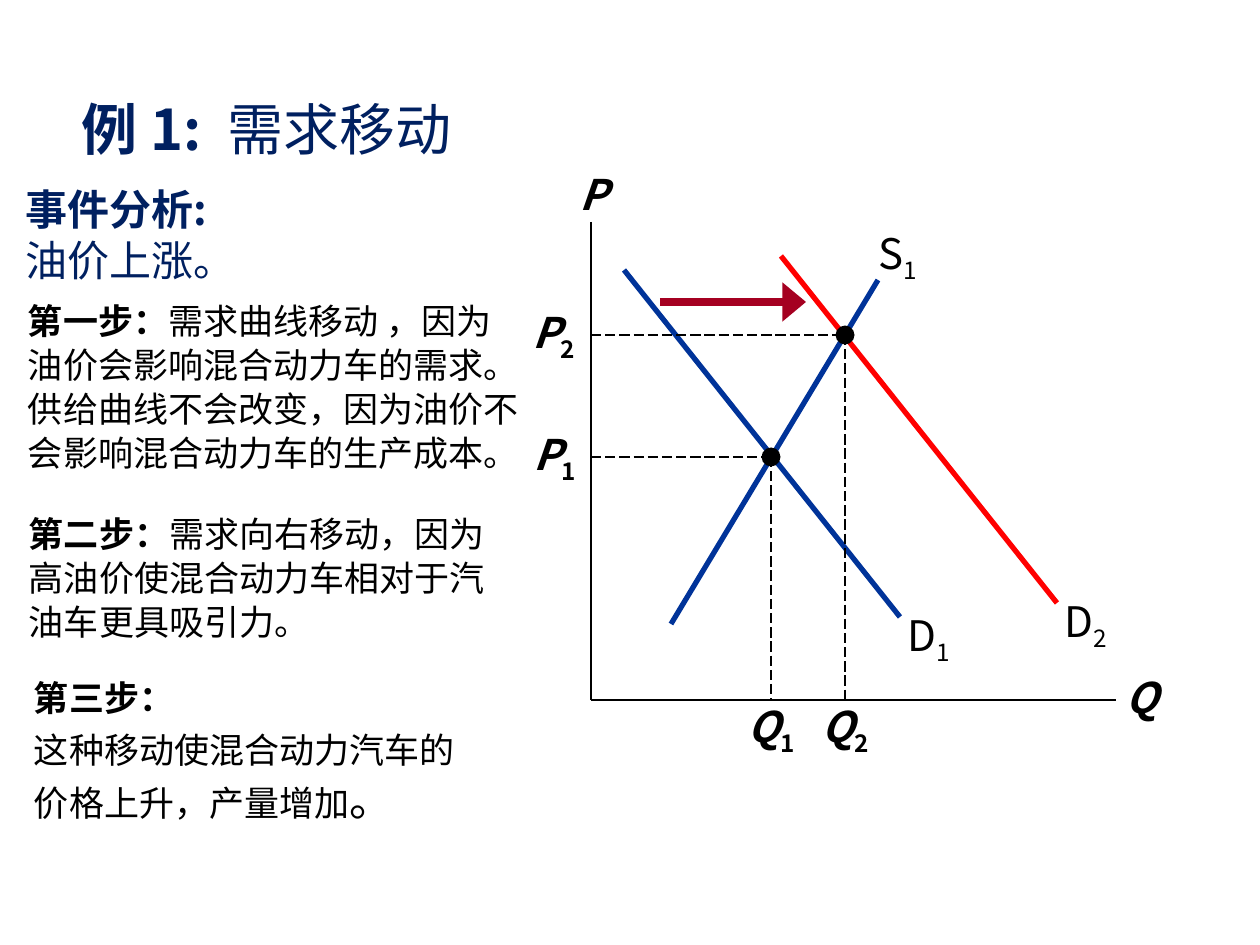
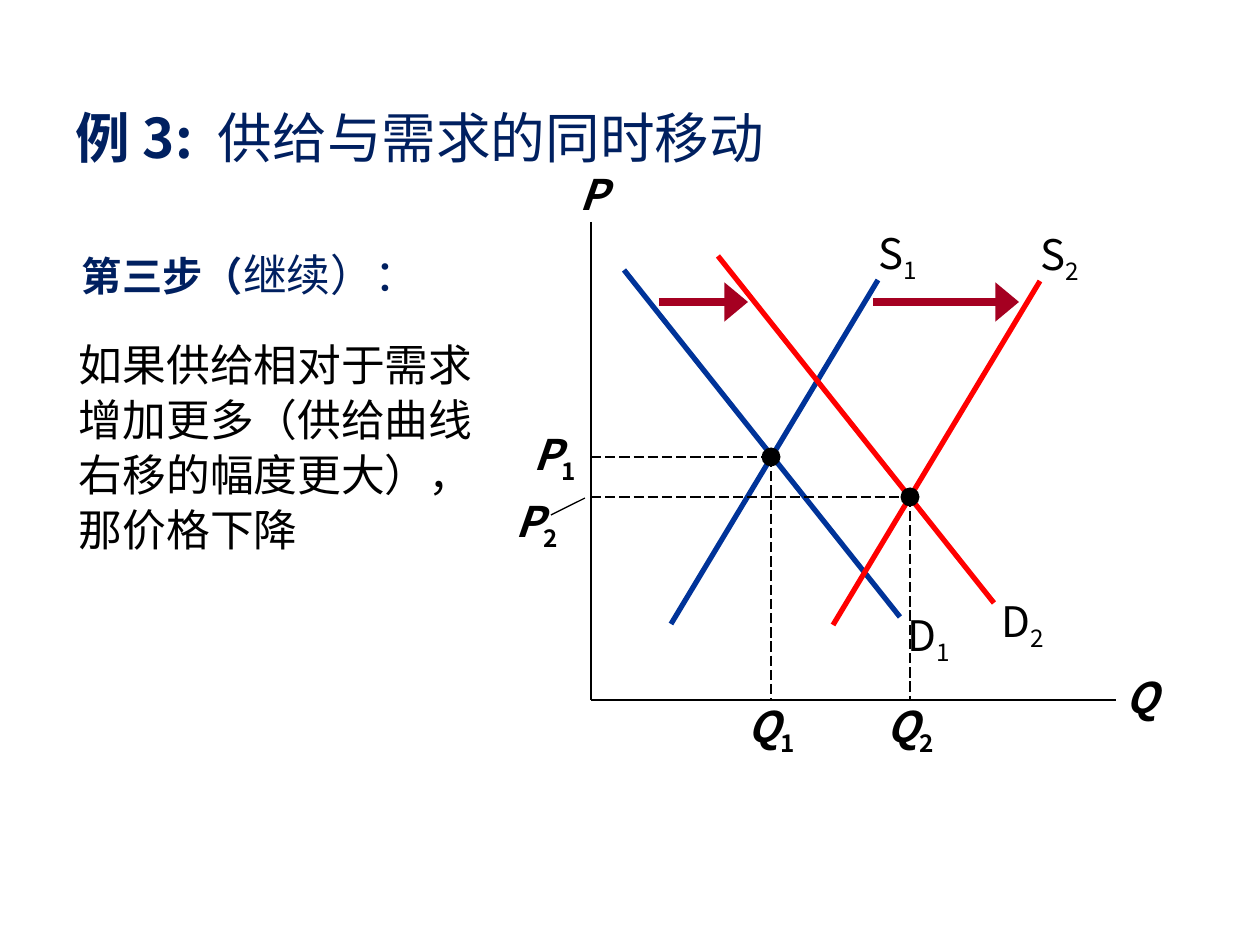
"""Build two slides on shifts of supply and demand."""
from lxml.etree import SubElement
from pptx import Presentation
from pptx.dml.color import RGBColor as Rgb
from pptx.enum.dml import MSO_LINE as Dash
from pptx.enum.shapes import MSO_CONNECTOR as Link, MSO_SHAPE as Shape
from pptx.enum.text import MSO_ANCHOR as Anchor, PP_ALIGN as Align
from pptx.oxml.ns import qn
from pptx.util import Pt

FONT = "Noto Sans CJK SC"
INK = {"navy": "002060", "black": "000000", "blue": "003399",
       "red": "FF0000", "wine": "A50021"}
SCALE = 914400 / 126
WIDE, HIGH = 1260, 945
HANG = 323
AXIS_X, AXIS_Y, AXIS_TOP, AXIS_END = 591, 700, 222, 1116
DOT = 19
CURVES = {
    "D": {"ends": (624, 270, 900, 617), "label": (929, 638)},
    "S": {"ends": (671, 624, 878, 280), "label": (898, 256)},
}
BASE = [("D", "1", 0, 0, "blue"), ("S", "1", 0, 0, "blue")]
FIRST = ("1", 771, 457, (555, 457))

SLIDES = [
    {
        "title": {"box": (69, 74, 1026, 108), "size": 32,
                  "head": "例 1:", "tail": "需求移动"},
        "texts": [
            {"box": (13, 178, 478, 125), "ink": "navy",
             "paras": [[("事件分析:", 24, True)], [("油价上涨。", 24, False)]]},
            {"box": (15, 291, 523, 190), "line": 1.05,
             "paras": [[("第一步：", 20, True),
                        ("需求曲线移动 ，因为油价会影响混合动力车的需求。"
                         "供给曲线不会改变，因为油价不会影响混合动力车的生产成本。",
                         20, False)]]},
            {"box": (16, 491, 507, 218), "line": 1.05, "top": 19,
             "paras": [[("第二步：", 20, True),
                        ("需求向右移动，因为高油价使混合动力车相对于汽油车更具吸引力。",
                         20, False)]]},
            {"box": (21, 655, 457, 174), "line": 1.05, "top": 19, "gap": 4.8,
             "paras": [[("第三步：", 20, True)],
                       [("这种移动使混合动力汽车的价格上升，产量增加", 20, False),
                        ("。", 25, False)]]},
        ],
        "shifts": [("D", "2", 157, -14, "red")],
        "arrows": [(660, 806)],
        "point": ("2", 845, 335, (554, 335)),
    },
    {
        "title": {"box": (63, 61, 730, 152), "size": 31.2,
                  "head": "例 3:", "tail": "供给与需求的同时移动"},
        "texts": [
            {"box": (69, 242, 354, 69), "ink": "navy",
             "paras": [[("第三步（", 23, True), ("继续）：", 25, False)]]},
            {"box": (66, 329, 437, 252), "line": 1.05,
             "paras": [[("如果供给相对于需求增加更多（供给曲线右移的幅度更大），"
                         "那价格下降", 25, False)]]},
        ],
        "shifts": [("S", "2", 162, 1, "red"), ("D", "2", 94, -14, "red")],
        "arrows": [(873, 1019), (659, 748)],
        "point": ("2", 910, 497, (537, 524)),
        "leader": (585, 498, 551, 515),
    },
]


def emu(*px):
    return [round(n * SCALE) for n in px]


def color(name):
    return Rgb.from_string(INK[name])


def add_run(para, text, size, bold, ink="black", italic=False, **attrs):
    run = para.add_run()
    run.text = text
    font = run.font
    font.size, font.bold, font.italic = Pt(size), bold, italic
    font.color.rgb = color(ink)
    font.name = FONT
    props = run._r.get_or_add_rPr()
    SubElement(props, qn("a:ea"), typeface=FONT)
    for key, value in attrs.items():
        props.set(key, str(value))


def add_box(slide, box, anchor=Anchor.TOP, side=13, top=6, wrap=True):
    frame = slide.shapes.add_textbox(*emu(*box)).text_frame
    frame.word_wrap = wrap
    frame.vertical_anchor = anchor
    frame.margin_left = frame.margin_right = emu(side)[0]
    frame.margin_top, frame.margin_bottom = emu(top, min(top, 6))
    return frame


def add_title(slide, box, size, head, tail):
    para = add_box(slide, box, Anchor.MIDDLE).paragraphs[0]
    props = para._p.get_or_add_pPr()
    props.set("marL", str(emu(HANG)[0]))
    props.set("indent", str(emu(-HANG)[0]))
    add_run(para, head, size, True, "navy")
    add_run(para, " ", size, True, "navy", spc=720)
    add_run(para, tail, size, False, "navy")


def add_text(slide, box, paras, ink="black", line=1.0, top=6, gap=0):
    frame = add_box(slide, box, top=top)
    for i, runs in enumerate(paras):
        para = frame.add_paragraph() if i else frame.paragraphs[0]
        para.line_spacing = line
        para.space_before = Pt(gap if i else 0)
        for text, size, bold in runs:
            add_run(para, text, size, bold, ink)


def add_label(slide, name, sub, mid, strong=True):
    x, y = mid
    frame = add_box(slide, (x - 34, y - 32, 68, 64), Anchor.MIDDLE, 0, 0, False)
    para = frame.paragraphs[0]
    para.alignment = Align.CENTER
    add_run(para, name, 24, strong, italic=strong)
    if sub:
        add_run(para, sub, 24, strong, baseline=-25000)


def add_line(slide, ends, ink="black", width=0.75, dash=False, head=False):
    link = slide.shapes.add_connector(Link.STRAIGHT, *emu(*ends))
    link.line.color.rgb = color(ink)
    link.line.width = Pt(width)
    if dash:
        link.line.dash_style = Dash.LONG_DASH
    props = link._element.spPr
    if head:
        SubElement(props.find(qn("a:ln")), qn("a:tailEnd"),
                   type="triangle", w="lg", len="med")
    SubElement(props, qn("a:effectLst"))


def add_axes(slide):
    add_line(slide, (AXIS_X, AXIS_TOP, AXIS_X, AXIS_Y), width=1)
    add_line(slide, (AXIS_X, AXIS_Y, AXIS_END, AXIS_Y), width=1)
    add_label(slide, "P", "", (593, 194))
    add_label(slide, "Q", "", (1142, 697))


def add_curve(slide, kind, sub, dx, dy, ink):
    x1, y1, x2, y2 = CURVES[kind]["ends"]
    x, y = CURVES[kind]["label"]
    add_line(slide, (x1 + dx, y1 + dy, x2 + dx, y2 + dy), ink, 3)
    add_label(slide, kind, sub, (x + dx, y + dy), strong=False)


def add_point(slide, sub, x, y, price):
    add_line(slide, (AXIS_X, y, x, y), dash=True)
    add_line(slide, (x, y, x, AXIS_Y), dash=True)
    dot = slide.shapes.add_shape(
        Shape.OVAL, *emu(x - DOT / 2, y - DOT / 2, DOT, DOT))
    dot.shadow.inherit = False
    dot.fill.solid()
    dot.fill.fore_color.rgb = color("black")
    dot.line.fill.background()
    add_label(slide, "P", sub, price)
    add_label(slide, "Q", sub, (x, 729))


def main():
    deck = Presentation()
    deck.slide_width, deck.slide_height = emu(WIDE, HIGH)
    for data in SLIDES:
        slide = deck.slides.add_slide(deck.slide_layouts[6])
        add_title(slide, **data["title"])
        for text in data["texts"]:
            add_text(slide, **text)
        add_axes(slide)
        for curve in BASE + data["shifts"]:
            add_curve(slide, *curve)
        for x1, x2 in data["arrows"]:
            add_line(slide, (x1, 302, x2, 302), "wine", 4.5, head=True)
        for point in (FIRST, data["point"]):
            add_point(slide, *point)
        if "leader" in data:
            add_line(slide, data["leader"])
    deck.save("out.pptx")


if __name__ == "__main__":
    main()
